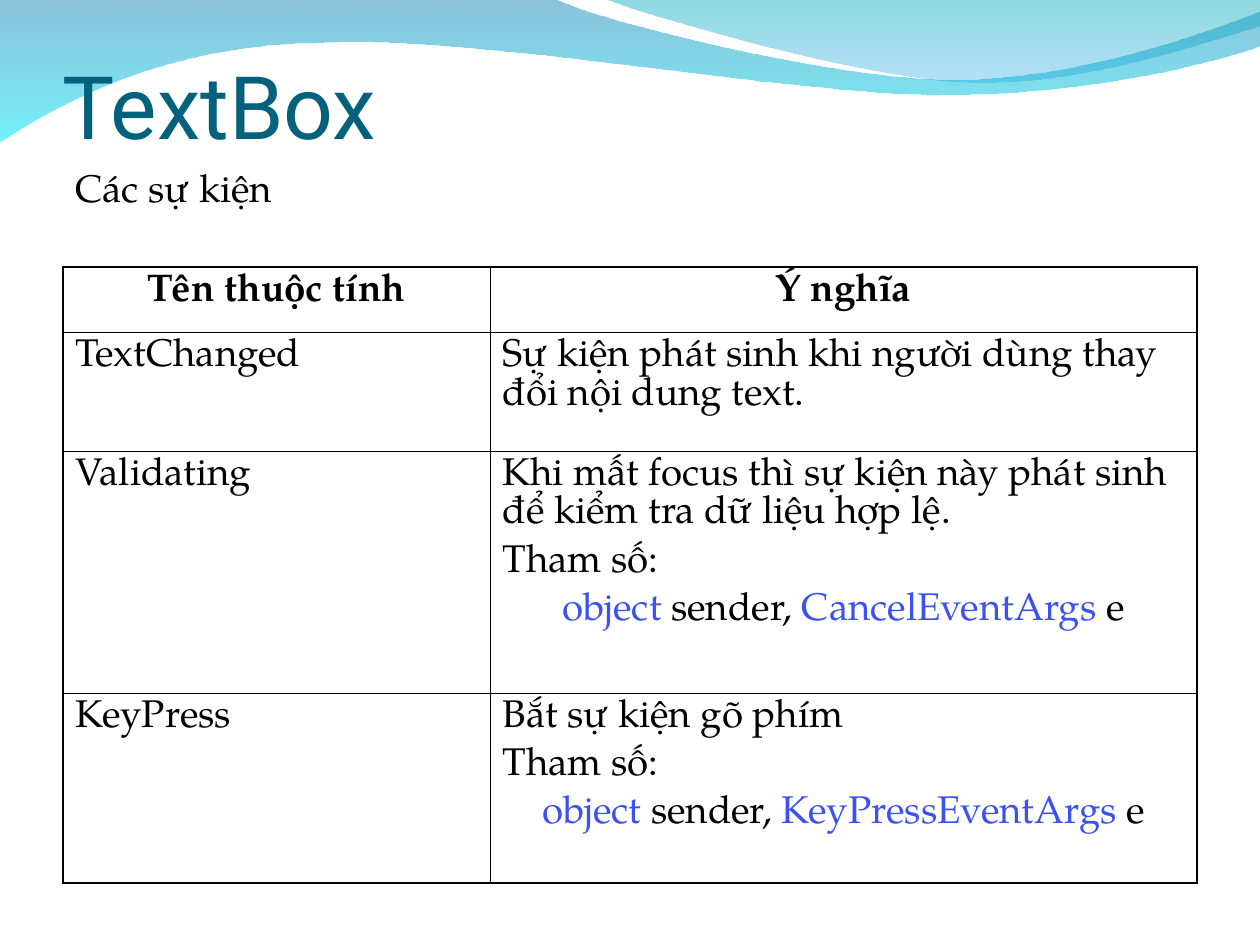
from pptx import Presentation
from pptx.dml.color import RGBColor
from pptx.enum.text import MSO_ANCHOR, PP_ALIGN
from pptx.oxml.ns import qn
from pptx.util import Inches, Pt
from lxml.etree import SubElement

THEME = {
    "title_font": "Roboto", "body_font": "TeX Gyre Pagella",
    "title_size": 50, "body_size": 22, "space_before": 5.5,
    "title": "04617B", "text": "000000", "keyword": "3B51F1",
    "border": "000000", "outer_line": 1.08, "inner_line": 0.45,
}

WAVES = [
    {
        "start": (0, -0.01),
        "steps": [
            [(4.4, -0.01)],
            [(4.76, 0.17), (6.64, 0.63), (7.58, 0.63)],
            [(8.53, 0.63), (9.58, 0.26), (10, 0.09)],
            [(10.01, 0.36)],
            [(9.83, 0.44), (8.7, 0.76), (7.46, 0.75)],
            [(6.22, 0.75), (3.82, 0.28), (2.57, 0.34)],
            [(1.29, 0.35), (0.46, 0.83), (-0.01, 1.13)],
        ],
        "stops": [("0079AF", 45), ("00EBF8", 55)],
    },
    {
        "start": (4.79, -0.01),
        "steps": [
            [(5.09, 0.11), (6.82, 0.62), (7.69, 0.65)],
            [(8.56, 0.69), (9.61, 0.32), (10, 0.21)],
            [(10, 0)],
        ],
        "stops": [("00ADB6", 45), ("009BE5", 30)],
    },
]

TITLE = "TextBox"
SUBTITLE = "Các sự kiện"
HEADERS = ["Tên thuộc tính", "Ý nghĩa"]
EVENTS = [
    ("TextChanged", ["Sự kiện phát sinh khi người dùng thay đổi nội dung text."], None),
    ("Validating", ["Khi mất focus thì sự kiện này phát sinh để kiểm tra dữ liệu hợp lệ.",
                    "Tham số:"], "CancelEventArgs"),
    ("KeyPress", ["Bắt sự kiện gõ phím", "Tham số:"], "KeyPressEventArgs"),
]
COLUMN_WIDTHS = [3.39, 5.61]
ROW_HEIGHTS = [0.52, 0.94, 1.92, 1.51]


def color(name):
    return RGBColor.from_string(THEME.get(name, name))


def bend_outline(shape, steps):
    outline = next(shape._element.iter(qn("a:path")))
    segments = iter(outline.findall(qn("a:lnTo")))
    for step in steps:
        lines = [next(segments) for _ in step]
        if len(lines) == 1:
            continue
        curve = SubElement(outline, qn("a:cubicBezTo"))
        lines[0].addprevious(curve)
        for line in lines:
            curve.append(line[0])
            outline.remove(line)


def add_wave(page, wave):
    points = [wave["start"], *(point for step in wave["steps"] for point in step)]
    points = [(Inches(x), Inches(y)) for x, y in points]
    builder = page.shapes.build_freeform(*points[0])
    builder.add_line_segments(points[1:], close=True)
    shape = builder.convert_to_shape()
    bend_outline(shape, wave["steps"])
    shape.shadow.inherit = False
    shape.line.fill.background()
    shape.fill.gradient()
    shape.fill.gradient_angle = 270
    for stop, position, (tone, opacity) in zip(shape.fill.gradient_stops, (0, 1), wave["stops"]):
        stop.position = position
        stop.color.rgb = color(tone)
    for node, (tone, opacity) in zip(shape._element.iter(qn("a:srgbClr")), wave["stops"]):
        SubElement(node, qn("a:alpha"), val=str(opacity * 1000))


def write(para, spans, role="body", bold=False, align=PP_ALIGN.LEFT):
    para.alignment = align
    for text, tone in spans:
        span = para.add_run()
        span.text = text
        span.font.name = THEME[f"{role}_font"]
        span.font.size = Pt(THEME[f"{role}_size"])
        span.font.bold = bold
        span.font.color.rgb = color(tone)


def add_text_box(page, place):
    box = page.shapes.add_textbox(*map(Inches, place))
    box.text_frame.word_wrap = True
    return box.text_frame


def set_borders(cell, outer_sides):
    properties = cell._tc.get_or_add_tcPr()
    for side in "LRTB":
        width = THEME["outer_line" if side in outer_sides else "inner_line"]
        line = SubElement(properties, qn(f"a:ln{side}"), w=str(Pt(width)))
        fill = SubElement(line, qn("a:solidFill"))
        SubElement(fill, qn("a:srgbClr"), val=THEME["border"])


def fill_cell(cell, paragraphs):
    for index, (spans, bold, align) in enumerate(paragraphs):
        para = cell.text_frame.add_paragraph() if index else cell.text_frame.paragraphs[0]
        para.space_before = Pt(THEME["space_before"])
        write(para, spans, bold=bold, align=align)


def table_rows():
    yield [[([(header, "text")], True, PP_ALIGN.CENTER)] for header in HEADERS]
    for name, lines, argument in EVENTS:
        meaning = [([(line, "text")], False, PP_ALIGN.LEFT) for line in lines]
        if argument:
            signature = [("object", "keyword"), (" sender, ", "text"),
                         (argument, "keyword"), (" e", "text")]
            meaning.append((signature, False, PP_ALIGN.CENTER))
        yield [[([(name, "text")], False, PP_ALIGN.LEFT)], meaning]


def add_event_table(page):
    row_count, column_count = len(ROW_HEIGHTS), len(COLUMN_WIDTHS)
    frame = page.shapes.add_table(row_count, column_count, Inches(0.5), Inches(2.12),
                                  Inches(sum(COLUMN_WIDTHS)), Inches(sum(ROW_HEIGHTS)))
    table = frame.table
    table.first_row = table.horz_banding = False
    for column, width in zip(table.columns, COLUMN_WIDTHS):
        column.width = Inches(width)
    for row, height in zip(table.rows, ROW_HEIGHTS):
        row.height = Inches(height)
    for row, contents in enumerate(table_rows()):
        for column, paragraphs in enumerate(contents):
            cell = table.cell(row, column)
            edges = {"T": row == 0, "B": row == row_count - 1,
                     "L": column == 0, "R": column == column_count - 1}
            set_borders(cell, [side for side, outer in edges.items() if outer])
            cell.fill.background()
            fill_cell(cell, paragraphs)


def main():
    deck = Presentation()
    deck.slide_width, deck.slide_height = Inches(10), Inches(7.5)
    page = deck.slides.add_slide(deck.slide_layouts[6])
    for wave in WAVES:
        add_wave(page, wave)

    title = add_text_box(page, (0.5, 0, 9, 1.25))
    title.margin_left = title.margin_right = title.margin_bottom = 0
    title.vertical_anchor = MSO_ANCHOR.BOTTOM
    write(title.paragraphs[0], [(TITLE, "title")], role="title")

    add_event_table(page)

    subtitle = add_text_box(page, (0.5, 1.25, 4.42, 0.67)).paragraphs[0]
    subtitle.space_before = Pt(THEME["space_before"])
    write(subtitle, [(SUBTITLE, "text")])
    deck.save("out.pptx")


if __name__ == "__main__":
    main()
